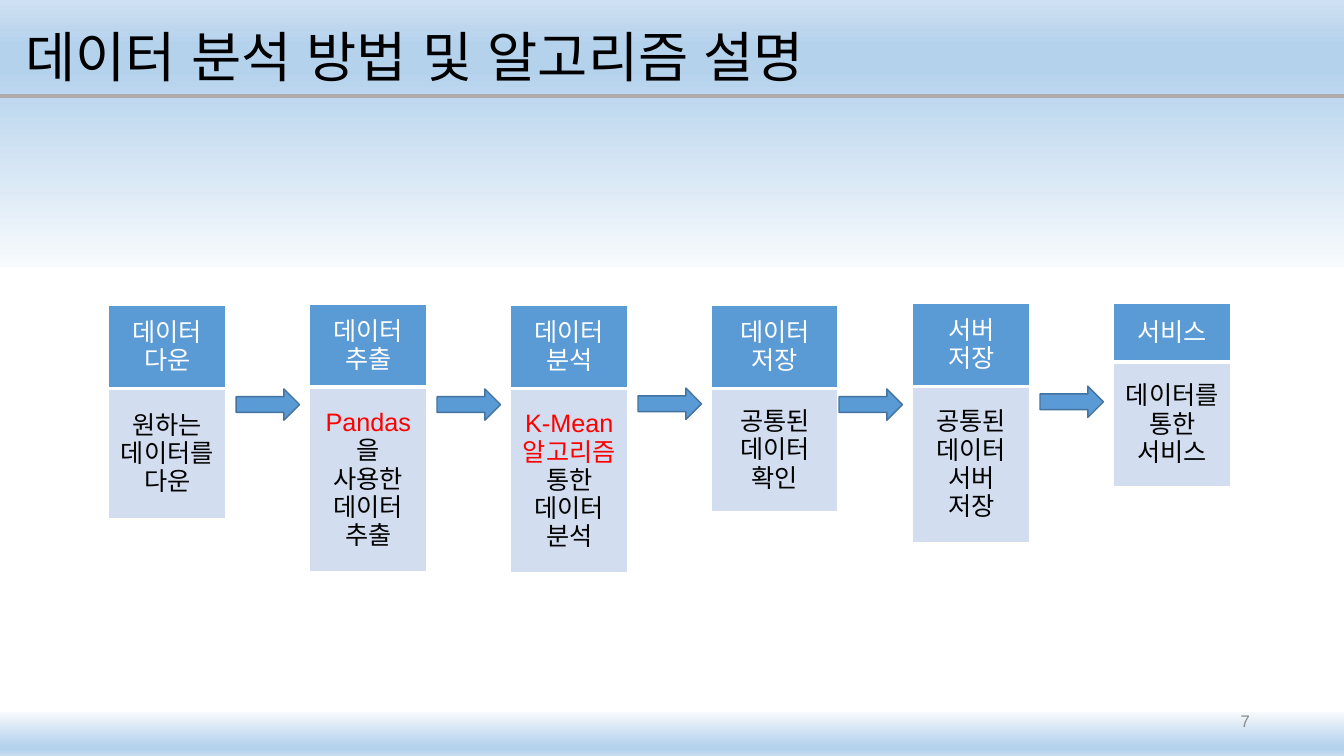
from lxml.etree import SubElement
from pptx import Presentation
from pptx.dml.color import RGBColor
from pptx.enum.shapes import MSO_CONNECTOR, MSO_SHAPE
from pptx.enum.text import MSO_ANCHOR, PP_ALIGN
from pptx.oxml.ns import qn
from pptx.util import Cm, Pt

FONT = "Arial"
BLACK = RGBColor(0x00, 0x00, 0x00)
WHITE = RGBColor(0xFF, 0xFF, 0xFF)
RED = RGBColor(0xFF, 0x00, 0x00)
GRAY = RGBColor(0x8C, 0x8C, 0x8C)
RULE = RGBColor(0xAF, 0xAB, 0xAB)
BLUE = RGBColor(0x5B, 0x9B, 0xD5)
DARK_BLUE = RGBColor(0x43, 0x73, 0x9E)
PALE_BLUE = RGBColor(0xD2, 0xDE, 0xEF)
BAND_STOPS = [
    (0, RGBColor(0xF7, 0xFA, 0xFD)),
    (74, RGBColor(0xB5, 0xD2, 0xEC)),
    (83, RGBColor(0xB5, 0xD2, 0xEC)),
    (100, RGBColor(0xCE, 0xE1, 0xF2)),
]

WIDTH, HEIGHT = 33.87, 19.05
STEP_LEFT, ARROW_LEFT, PITCH = 2.74, 5.95, 5.065
TWO_LINES, ONE_LINE = 2.09, 1.47

# top, column width, row heights, heading, body lines of (text, colour) runs
STEPS = [
    (7.7, 2.95, (TWO_LINES, 3.28), "데이터 다운",
     [[("원하는", BLACK)], [("데이터를", BLACK)], [("다운", BLACK)]]),
    (7.67, 2.95, (TWO_LINES, 4.64), "데이터 추출",
     [[("Pandas", RED), ("을", BLACK)], [("사용한", BLACK)],
      [("데이터 추출", BLACK)]]),
    (7.7, 2.95, (TWO_LINES, 4.64), "데이터 분석",
     [[("K-Mean", RED)], [("알고리즘", RED)], [("통한", BLACK)],
      [("데이터 분석", BLACK)]]),
    (7.7, 3.18, (TWO_LINES, 3.1), "데이터 저장",
     [[("공통된", BLACK)], [("데이터 확인", BLACK)]]),
    (7.65, 2.95, (TWO_LINES, 3.93), "서버 저장",
     [[("공통된", BLACK)], [("데이터", BLACK)], [("서버 저장", BLACK)]]),
    (7.65, 2.95, (ONE_LINE, 3.15), "서비스",
     [[("데이터를", BLACK)], [("통한 서비스", BLACK)]]),
]
ARROW_TOPS = [9.8, 9.8, 9.78, 9.8, 9.73]


def style_run(r, size, color):
    r.font.name = FONT
    r.font.size = Pt(size)
    r.font.bold = False
    r.font.color.rgb = color
    # Korean text uses the same typeface
    SubElement(r.font._element, qn("a:ea"), typeface=FONT)


def add_band(s, top, height, angle):
    sp = s.shapes.add_shape(MSO_SHAPE.RECTANGLE, 0, Cm(top), Cm(WIDTH), Cm(height))
    sp.shadow.inherit = False
    sp.line.fill.background()
    sp.fill.gradient()
    sp.fill.gradient_angle = angle
    # Replace the two preset stops with the four of the band
    stops = sp._element.spPr.find(qn("a:gradFill")).find(qn("a:gsLst"))
    for stop in list(stops):
        stops.remove(stop)
    for position, color in BAND_STOPS:
        stop = SubElement(stops, qn("a:gs"), pos=str(position * 1000))
        SubElement(stop, qn("a:srgbClr"), val=str(color))


def add_rule(s, top):
    line = s.shapes.add_connector(MSO_CONNECTOR.STRAIGHT, 0, Cm(top), Cm(WIDTH), Cm(top))
    line.line.color.rgb = RULE
    line.line.width = Pt(2.25)
    SubElement(line._element.spPr, qn("a:effectLst"))


def add_text(s, left, top, width, height, text, size, color, align):
    tf = s.shapes.add_textbox(Cm(left), Cm(top), Cm(width), Cm(height)).text_frame
    tf.word_wrap = True
    tf.vertical_anchor = MSO_ANCHOR.MIDDLE
    tf.text = text
    p = tf.paragraphs[0]
    p.alignment = align
    style_run(p.runs[0], size, color)
    return p


def set_border(cell, side, width):
    line = SubElement(cell._tc.get_or_add_tcPr(), qn(f"a:{side}"), w=str(Pt(width)))
    SubElement(SubElement(line, qn("a:solidFill")), qn("a:srgbClr"), val=str(WHITE))


def fill_cell(cell, fill, lines, top_border, bottom_border):
    # Borders come before the fill in the cell properties
    for side, width in (("lnL", 1), ("lnR", 1), ("lnT", top_border), ("lnB", bottom_border)):
        set_border(cell, side, width)
    cell.fill.solid()
    cell.fill.fore_color.rgb = fill
    cell.vertical_anchor = MSO_ANCHOR.MIDDLE
    tf = cell.text_frame
    for i, line in enumerate(lines):
        p = tf.add_paragraph() if i else tf.paragraphs[0]
        p.alignment = PP_ALIGN.CENTER
        for text, color in line:
            r = p.add_run()
            r.text = text
            style_run(r, 18, color)


def add_step(s, left, top, width, row_heights, heading, body):
    frame = s.shapes.add_table(2, 1, Cm(left), Cm(top), Cm(width), Cm(sum(row_heights)))
    table = frame.table
    for row, height in zip(table.rows, row_heights):
        row.height = Cm(height)
    fill_cell(table.cell(0, 0), BLUE, [[(heading, WHITE)]], 1, 3)
    fill_cell(table.cell(1, 0), PALE_BLUE, body, 3, 1)


def add_arrow(s, left, top):
    sp = s.shapes.add_shape(MSO_SHAPE.RIGHT_ARROW, Cm(left), Cm(top), Cm(1.6), Cm(0.79))
    sp.shadow.inherit = False
    sp.fill.solid()
    sp.fill.fore_color.rgb = BLUE
    sp.line.color.rgb = DARK_BLUE
    sp.line.width = Pt(1)


def main():
    prs = Presentation()
    prs.slide_width, prs.slide_height = Cm(WIDTH), Cm(HEIGHT)
    s = prs.slides.add_slide(prs.slide_layouts[6])

    # Background bands and title rule
    add_band(s, 17.93, 1.17, 270)
    add_band(s, -0.03, 6.76, 90)
    add_rule(s, 2.42)

    # Title and page number
    title = add_text(s, 0.39, 0.33, 23.16, 2.36, "데이터 분석 방법 및 알고리즘 설명",
                     39, BLACK, PP_ALIGN.LEFT)
    title.line_spacing = 0.9
    add_text(s, 30.3, 17.79, 1.45, 0.74, "7", 12, GRAY, PP_ALIGN.RIGHT)

    # Process steps and the arrows between them
    for i, step in enumerate(STEPS):
        add_step(s, STEP_LEFT + i * PITCH, *step)
    for i, top in enumerate(ARROW_TOPS):
        add_arrow(s, ARROW_LEFT + i * PITCH, top)

    prs.save("out.pptx")


if __name__ == "__main__":
    main()
